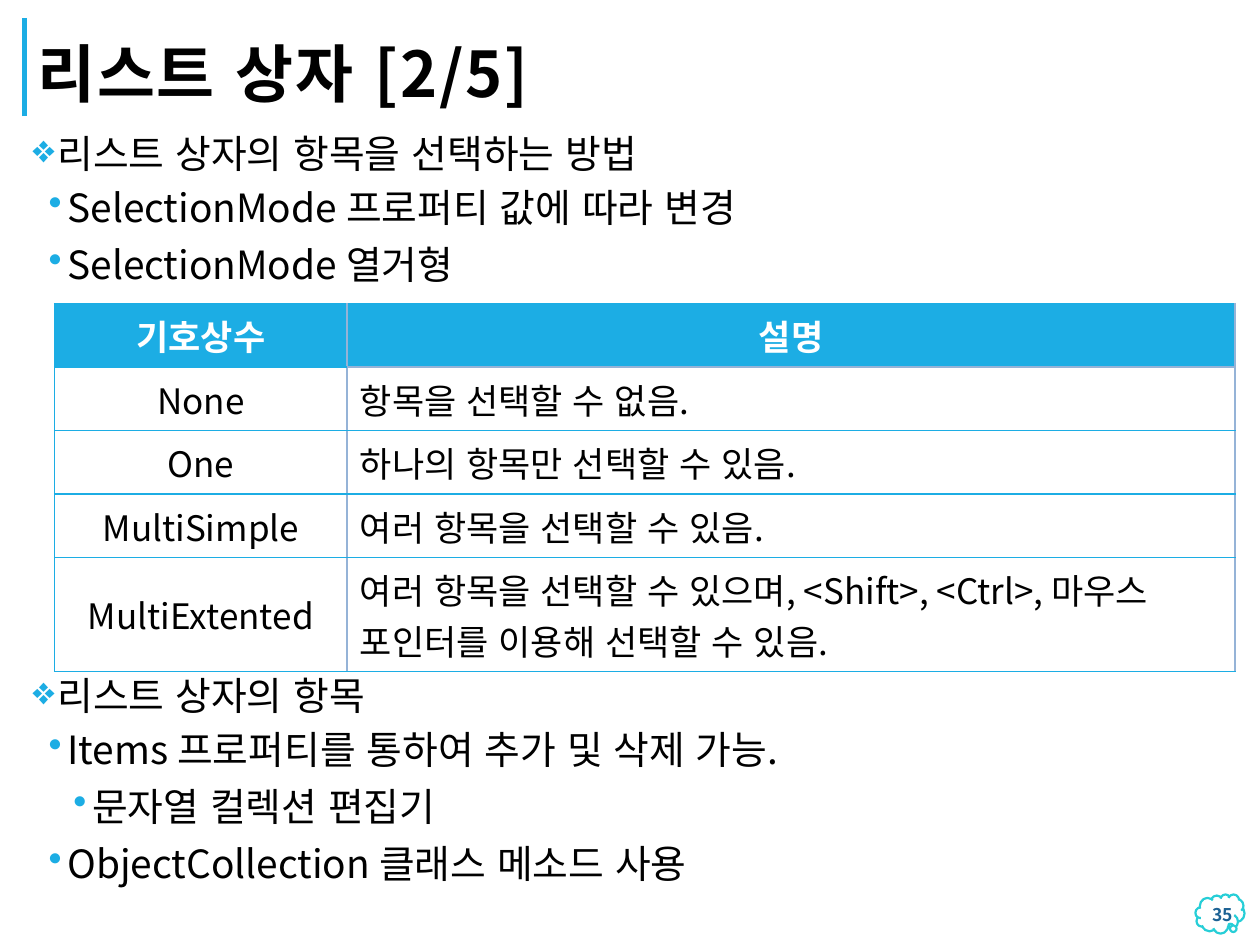
from dataclasses import dataclass

from lxml import etree
from pptx import Presentation
from pptx.dml.color import RGBColor
from pptx.enum import lang, shapes, text
from pptx.oxml import ns
from pptx.util import Cm, Pt


@dataclass(frozen=True)
class Theme:
    font: str = "Noto Sans CJK KR"
    accent: str = "1CADE4"
    grid: str = "95B3D7"
    cloud: str = "27CED7"
    number: str = "1D6294"
    black: str = "000000"
    white: str = "FFFFFF"
    title_size: float = 36
    body_size: float = 22.2
    table_size: float = 20
    number_size: float = 10


@dataclass(frozen=True)
class Level:
    margin: float
    indent: float
    bullet: str
    before: int
    after: int


THEME = Theme()
LEVELS = (
    Level(0.52, -0.5, "❖", 12, 2),
    Level(0.72, -0.38, "•", 2, 4),
    Level(1.22, -0.38, "•", 2, 4),
)
SELECTION = (
    (0, "리스트 상자의 항목을 선택하는 방법"),
    (1, "SelectionMode 프로퍼티 값에 따라 변경"),
    (1, "SelectionMode 열거형"),
)
ITEMS = (
    (0, "리스트 상자의 항목"),
    (1, "Items 프로퍼티를 통하여 추가 및 삭제 가능."),
    (2, "문자열 컬렉션 편집기"),
    (1, "ObjectCollection 클래스 메소드 사용"),
)
MODES = (
    ("기호상수", "설명"),
    ("None", "항목을 선택할 수 없음."),
    ("One", "하나의 항목만 선택할 수 있음."),
    ("MultiSimple", "여러 항목을 선택할 수 있음."),
    ("MultiExtented", "여러 항목을 선택할 수 있으며, <Shift>, <Ctrl>, 마우스\n포인터를 이용해 선택할 수 있음."),
)


def color(value):
    return RGBColor.from_string(value)


def add_element(parent, tag, **attributes):
    return etree.SubElement(parent, ns.qn(tag), attributes)


def style_paragraph(paragraph, size, font_color, bold=False):
    font = paragraph.font
    font.name = THEME.font
    font.size = Pt(size)
    font.bold = bold
    font.language_id = lang.MSO_LANGUAGE_ID.KOREAN
    font.color.rgb = color(font_color)
    add_element(font._element, "a:ea", typeface=THEME.font)


def add_text_box(slide, left, top, width, height, anchor, inset=None):
    frame = slide.shapes.add_textbox(Cm(left), Cm(top), Cm(width), Cm(height)).text_frame
    frame.word_wrap = True
    frame.vertical_anchor = anchor
    if inset is not None:
        frame.margin_left = frame.margin_right = Cm(inset)
        frame.margin_top = frame.margin_bottom = Cm(inset)
    return frame


def add_bullet(paragraph, level):
    properties = paragraph._p.get_or_add_pPr()
    properties.set("marL", str(Cm(level.margin)))
    properties.set("indent", str(Cm(level.indent)))
    add_element(add_element(properties, "a:buClr"), "a:srgbClr", val=THEME.accent)
    add_element(properties, "a:buSzPct", val="100000")
    add_element(properties, "a:buChar", char=level.bullet)


def add_outline(slide, top, height, lines):
    frame = add_text_box(slide, 0.51, top, 24.4, height, text.MSO_ANCHOR.TOP, 0.13)
    for index, (depth, line) in enumerate(lines):
        paragraph = frame.add_paragraph() if index else frame.paragraphs[0]
        level = LEVELS[depth]
        paragraph.text = line
        paragraph.level = depth
        paragraph.line_spacing = 1.0
        paragraph.space_before = Pt(level.before if index else 0)
        paragraph.space_after = Pt(level.after)
        add_bullet(paragraph, level)
        style_paragraph(paragraph, THEME.body_size, THEME.black)


def add_title(slide):
    line = slide.shapes.add_connector(
        shapes.MSO_CONNECTOR.STRAIGHT, Cm(0.5), Cm(2.34), Cm(0.5), Cm(0.36))
    line.line.color.rgb = color(THEME.accent)
    line.line.width = Pt(3)
    add_element(line._element.spPr, "a:effectLst")
    paragraph = add_text_box(
        slide, 0.51, 0.36, 20.24, 1.98, text.MSO_ANCHOR.BOTTOM).paragraphs[0]
    paragraph.text = "리스트 상자 [2/5]"
    paragraph.line_spacing = 0.8
    style_paragraph(paragraph, THEME.title_size, THEME.black, True)
    paragraph.font._element.set("spc", "100")


def add_page_number(slide):
    cloud = slide.shapes.add_shape(
        shapes.MSO_SHAPE.CLOUD_CALLOUT, Cm(24.1), Cm(18.03), Cm(0.99), Cm(0.79))
    cloud.adjustments[0], cloud.adjustments[1] = 0.2, 0.28
    cloud.shadow.inherit = False
    cloud.fill.solid()
    cloud.fill.fore_color.rgb = color(THEME.white)
    cloud.line.color.rgb = color(THEME.cloud)
    cloud.line.width = Pt(1.25)
    paragraph = add_text_box(
        slide, 23.5, 18.01, 1.6, 0.86, text.MSO_ANCHOR.MIDDLE).paragraphs[0]
    paragraph.text = "35"
    paragraph.alignment = text.PP_ALIGN.RIGHT
    style_paragraph(paragraph, THEME.number_size, THEME.number, True)


def add_borders(cell, **borders):
    properties = cell._tc.get_or_add_tcPr()
    for side in "LRTB":
        line = add_element(properties, f"a:ln{side}", w=str(Pt(1)))
        fill = add_element(line, "a:solidFill")
        add_element(fill, "a:srgbClr", val=borders.get(side, THEME.accent))


def fill_cell(cell, content, row, column):
    header = row == 0
    borders = {"R": THEME.grid}
    if column == 1:
        borders["L"] = THEME.grid
        if row < 2:
            borders["B" if header else "T"] = THEME.grid
    add_borders(cell, **borders)
    cell.fill.solid()
    cell.fill.fore_color.rgb = color(THEME.accent if header else THEME.white)
    cell.vertical_anchor = text.MSO_ANCHOR.MIDDLE
    cell.text = content
    centered = header or column == 0
    for paragraph in cell.text_frame.paragraphs:
        paragraph.alignment = text.PP_ALIGN.CENTER if centered else text.PP_ALIGN.LEFT
        style_paragraph(
            paragraph, THEME.table_size, THEME.white if header else THEME.black, header)


def add_mode_table(slide):
    widths = (5.9, 17.9)
    heights = [1.28] * 4 + [2.3]
    table = slide.shapes.add_table(
        len(MODES), len(widths), Cm(1.1), Cm(6.12), Cm(sum(widths)), Cm(sum(heights))).table
    table.first_row = table.horz_banding = False
    for column, width in zip(table.columns, widths):
        column.width = Cm(width)
    for row, height in zip(table.rows, heights):
        row.height = Cm(height)
    for row, contents in enumerate(MODES):
        for column, content in enumerate(contents):
            fill_cell(table.cell(row, column), content, row, column)


def main():
    presentation = Presentation()
    presentation.slide_width = Cm(25.4)
    presentation.slide_height = Cm(19.05)
    slide = presentation.slides.add_slide(presentation.slide_layouts[6])
    add_title(slide)
    add_page_number(slide)
    add_mode_table(slide)
    add_outline(slide, 2.49, 3.6, SELECTION)
    add_outline(slide, 13.42, 4.6, ITEMS)
    presentation.save("out.pptx")


if __name__ == "__main__":
    main()
